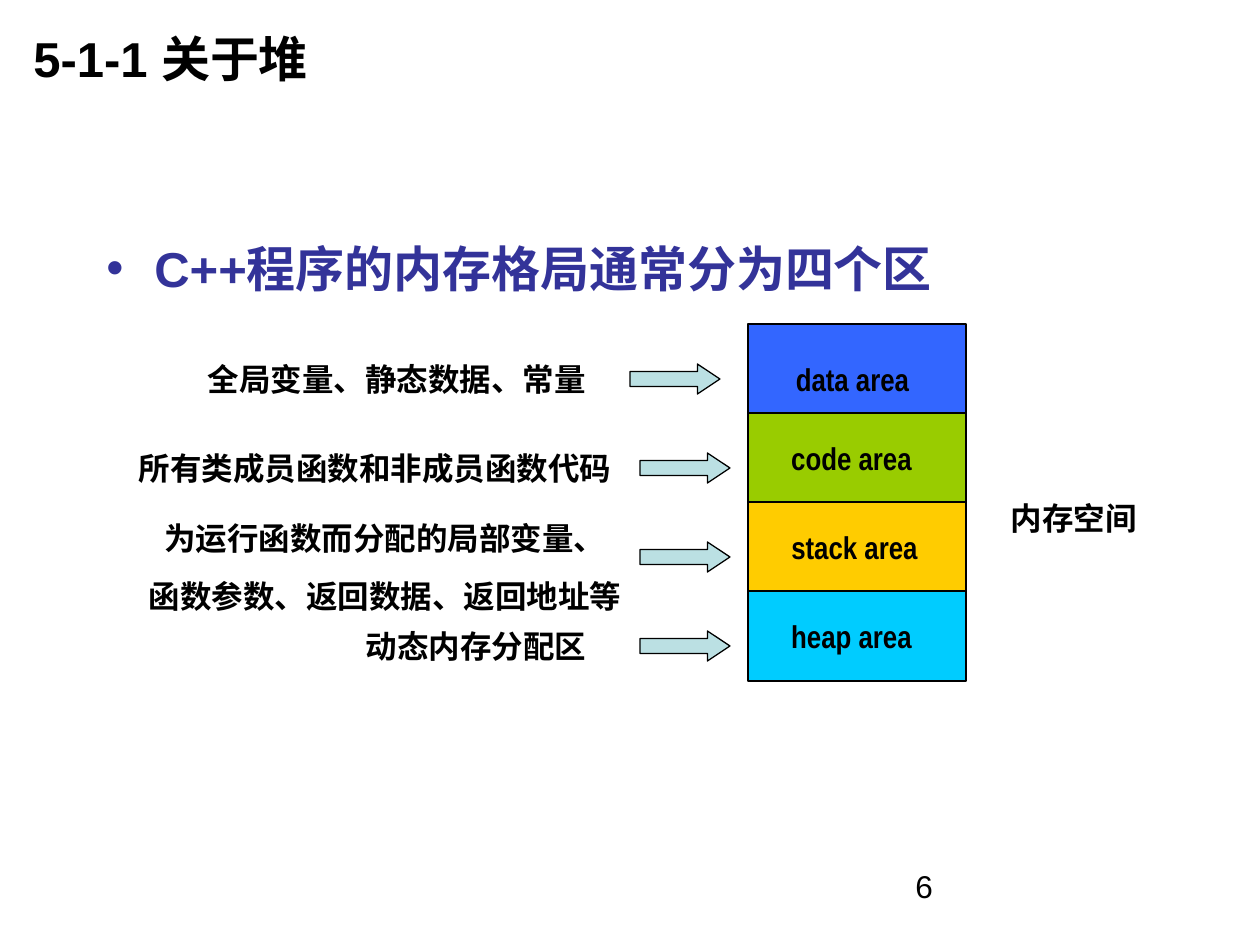
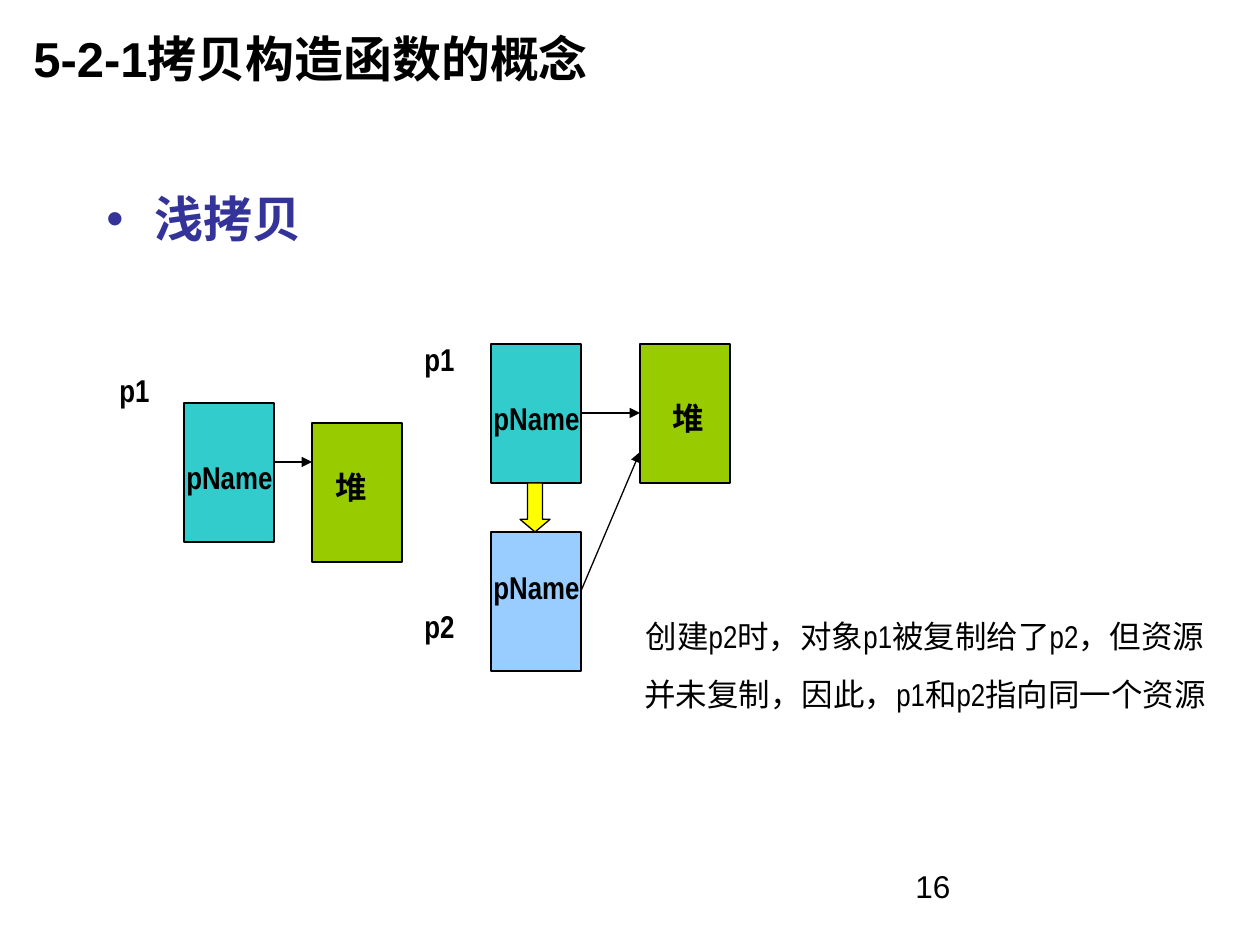
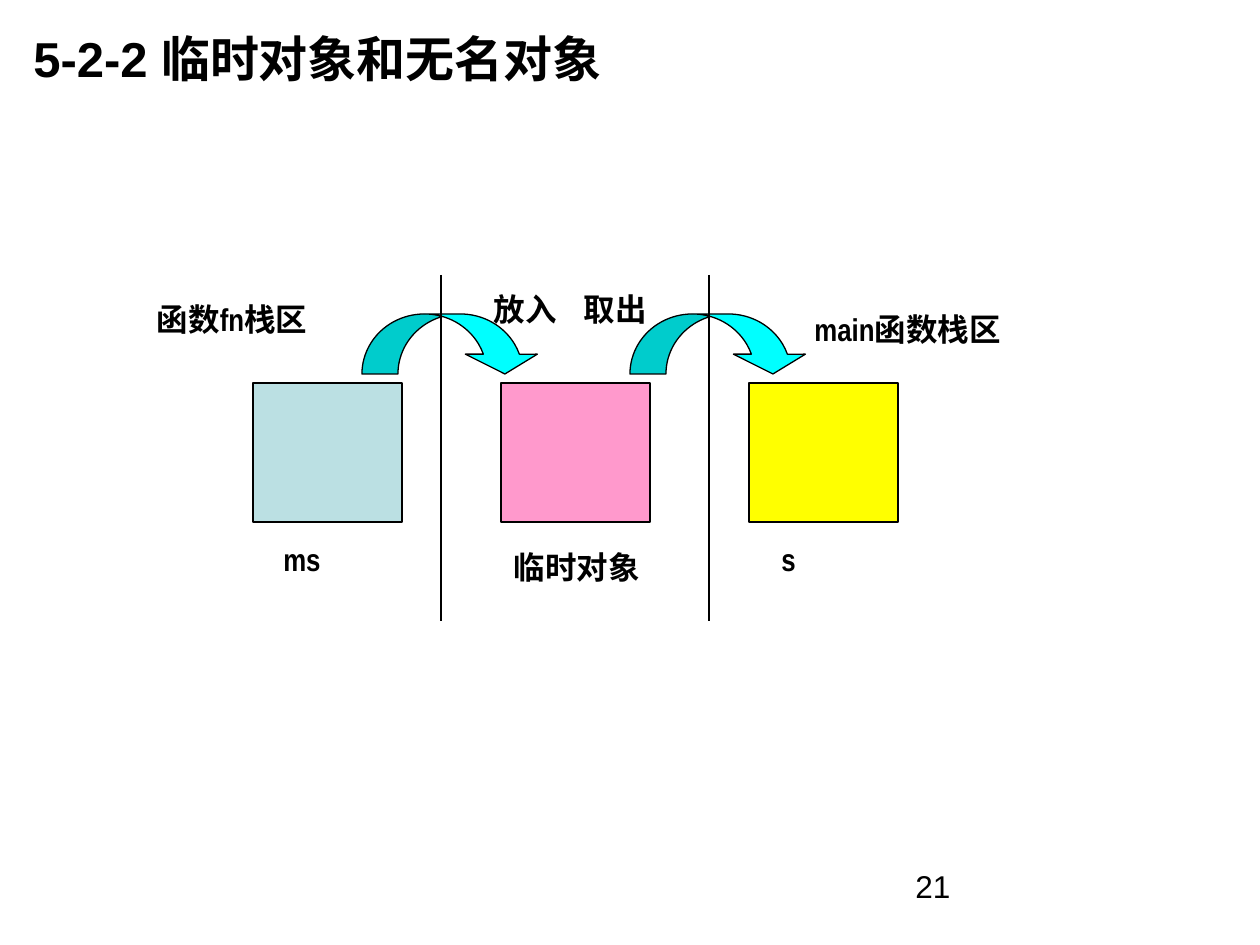
"""Build three lecture slides on the heap, shallow copies and temporary objects."""
import dataclasses

import pptx
import pptx.dml.color
import pptx.enum.shapes
import pptx.enum.text
import pptx.oxml
import pptx.oxml.ns
import pptx.util

SCALE = 914400 / 126
SHAPE = pptx.enum.shapes.MSO_SHAPE
ALIGN = pptx.enum.text.PP_ALIGN
ANCHOR = pptx.enum.text.MSO_ANCHOR
FIT = pptx.enum.text.MSO_AUTO_SIZE


@dataclasses.dataclass(frozen=True)
class Theme:
    ink: str = "000000"
    point: str = "333399"
    blue: str = "3366FF"
    green: str = "99CC00"
    gold: str = "FFCC00"
    sky: str = "00CCFF"
    pale: str = "BBE0E3"
    teal: str = "33CCCC"
    light: str = "99CCFF"
    pink: str = "FF99CC"
    yellow: str = "FFFF00"
    cyan: str = "00FFFF"
    head: str = "Arial"
    narrow: str = "Arial Narrow"
    big: int = 28
    small: int = 18
    line: float = 0.74
    gap: float = 11.2


THEME = Theme()


def emu(*pixels):
    return [pptx.util.Emu(round(p * SCALE)) for p in pixels]


def color(code):
    return pptx.dml.color.RGBColor.from_string(code)


def make_xml(tag, **attrs):
    node = pptx.oxml.parse_xml(f"<{tag} {pptx.oxml.ns.nsdecls('a')}/>")
    for key, value in attrs.items():
        node.set(key, value)
    return node


def add_text(slide, box, text, font=THEME.head, size=THEME.small, bold=False, ink=THEME.ink):
    """Place wrapped text, one paragraph a line, and return its frame."""
    frame = slide.shapes.add_textbox(*emu(*box)).text_frame
    frame.word_wrap = True
    frame.text = text
    for para in frame.paragraphs:
        for run in para.runs:
            run.font.name = font
            run.font.size = pptx.util.Pt(size)
            run.font.bold = bold
            run.font.color.rgb = color(ink)
    return frame


def add_label(slide, left, top, width, text, height=50, bold=True, wrap=False):
    """Place centred text, with a little spare width on both sides."""
    box = (left - 2, top, width + 4, height)
    frame = add_text(slide, box, text, THEME.narrow, bold=bold)
    frame.word_wrap = wrap
    frame.auto_size = FIT.SHAPE_TO_FIT_TEXT
    for para in frame.paragraphs:
        para.alignment = ALIGN.CENTER
        para.space_before = pptx.util.Pt(THEME.gap)


def add_bullet(slide, text, inset, spacing):
    frame = add_text(slide, (94, 189, 1071, 651), text, size=THEME.big, bold=True, ink=THEME.point)
    frame.margin_top = emu(inset)[0]
    para = frame.paragraphs[0]
    para.line_spacing = spacing
    para.space_before = pptx.util.Pt(7)
    props = para._p.get_or_add_pPr()
    indent = emu(48)[0]
    props.set("marL", str(indent))
    props.set("indent", str(-indent))
    props.append(make_xml("a:buFont", typeface=THEME.head))
    props.append(make_xml("a:buChar", char="•"))


def add_shape(slide, kind, box, fill, adjust=()):
    shape = slide.shapes.add_shape(kind, *emu(*box))
    shape.shadow.inherit = False
    shape.fill.solid()
    shape.fill.fore_color.rgb = color(fill)
    shape.line.color.rgb = color(THEME.ink)
    shape.line.width = pptx.util.Pt(THEME.line)
    for index, value in enumerate(adjust):
        shape.adjustments[index] = value


def add_line(slide, ends, arrow=False):
    line = slide.shapes.add_connector(pptx.enum.shapes.MSO_CONNECTOR.STRAIGHT, *emu(*ends))
    line.line.color.rgb = color(THEME.ink)
    line.line.width = pptx.util.Pt(THEME.line)
    if arrow:
        line.line._get_or_add_ln().append(make_xml("a:tailEnd", type="triangle"))
    line._element.spPr.append(make_xml("a:effectLst"))


def add_slide(deck, title, number):
    """Add a blank slide with its title and page number."""
    slide = deck.slides.add_slide(deck.slide_layouts[6])
    frame = add_text(slide, (21, 0, 945, 116), title, size=THEME.big, bold=True)
    frame.vertical_anchor = ANCHOR.MIDDLE
    add_text(slide, (903, 861, 294, 66), str(number))
    return slide


def draw_heap(deck):
    slide = add_slide(deck, "5-1-1 关于堆", 6)
    add_bullet(slide, "C++程序的内存格局通常分为四个区", 61, 0.8)
    areas = [
        ("data area", THEME.blue, 783, 354, 139, 630),
        ("code area", THEME.green, 779, 433, 145, 640),
        ("stack area", THEME.gold, 779, 522, 151, 640),
        ("heap area", THEME.sky, 779, 611, 145, 640),
    ]
    for row, (name, fill, left, top, width, start) in enumerate(areas):
        shift = 89 * row
        add_shape(slide, SHAPE.RECTANGLE, (748, 324 + shift, 218, 90), fill)
        add_label(slide, left, top, width, name)
        add_shape(slide, SHAPE.RIGHT_ARROW, (start, 364 + shift, 90, 30), THEME.pale, (0.5, 0.75))
    add_label(slide, 998, 493, 151, "内存空间")
    add_label(slide, 195, 354, 403, "全局变量、静态数据、常量")
    add_label(slide, 126, 443, 498, "所有类成员函数和非成员函数代码")
    add_label(slide, 136, 513, 498,
              "为运行函数而分配的局部变量、\n函数参数、返回数据、返回地址等", height=108)
    add_label(slide, 353, 621, 246, "动态内存分配区")


def draw_copy(deck):
    slide = add_slide(deck, "5-2-1拷贝构造函数的概念", 16)
    add_bullet(slide, "浅拷贝", 6, 0.9)
    add_label(slide, 610, 611, 630,
              "创建p2时，对象p1被复制给了p2，但资源\n并未复制，因此，p1和p2指向同一个资源",
              height=108, bold=False, wrap=True)
    blocks = [
        (184, 403, THEME.teal, "pName", 174, 452, 111),
        (312, 423, THEME.green, "堆", 323, 462, 57),
        (491, 344, THEME.teal, "pName", 481, 393, 111),
        (640, 344, THEME.green, "堆", 660, 393, 57),
        (491, 532, THEME.light, "pName", 481, 562, 111),
    ]
    for left, top, fill, name, start, text_top, width in blocks:
        add_shape(slide, SHAPE.RECTANGLE, (left, top, 90, 139), fill)
        add_label(slide, start, text_top, width, name)
    for ends in [(273, 462, 312, 462), (581, 413, 640, 413), (581, 591, 640, 452)]:
        add_line(slide, ends, arrow=True)
    add_shape(slide, SHAPE.DOWN_ARROW, (520, 483, 30, 49), THEME.yellow, (0.5, 0.42))
    for left, top, name in [(107, 365, "p1"), (412, 334, "p1"), (412, 601, "p2")]:
        add_label(slide, left, top, 55, name)


def draw_temp(deck):
    slide = add_slide(deck, "5-2-2 临时对象和无名对象", 21)
    for column, fill in enumerate([THEME.pale, THEME.pink, THEME.yellow]):
        add_shape(slide, SHAPE.RECTANGLE, (253 + 248 * column, 383, 149, 139), fill)
    for column in range(2):
        shift = 268 * column
        add_shape(slide, SHAPE.CURVED_DOWN_ARROW, (362 + shift, 314, 179, 60), THEME.cyan,
                  (0.6, 1.2, 0.33))
        add_line(slide, (441 + shift, 275, 441 + shift, 621))
    labels = [
        (137, 294, 190, "函数fn栈区"),
        (798, 304, 219, "main函数栈区"),
        (271, 534, 62, "ms"),
        (769, 534, 39, "s"),
        (501, 542, 151, "临时对象"),
        (481, 284, 88, "放入"),
        (571, 284, 88, "取出"),
    ]
    for label in labels:
        add_label(slide, *label)


def main():
    deck = pptx.Presentation()
    deck.slide_width, deck.slide_height = emu(1260, 945)
    draw_heap(deck)
    draw_copy(deck)
    draw_temp(deck)
    deck.save("out.pptx")


main()
